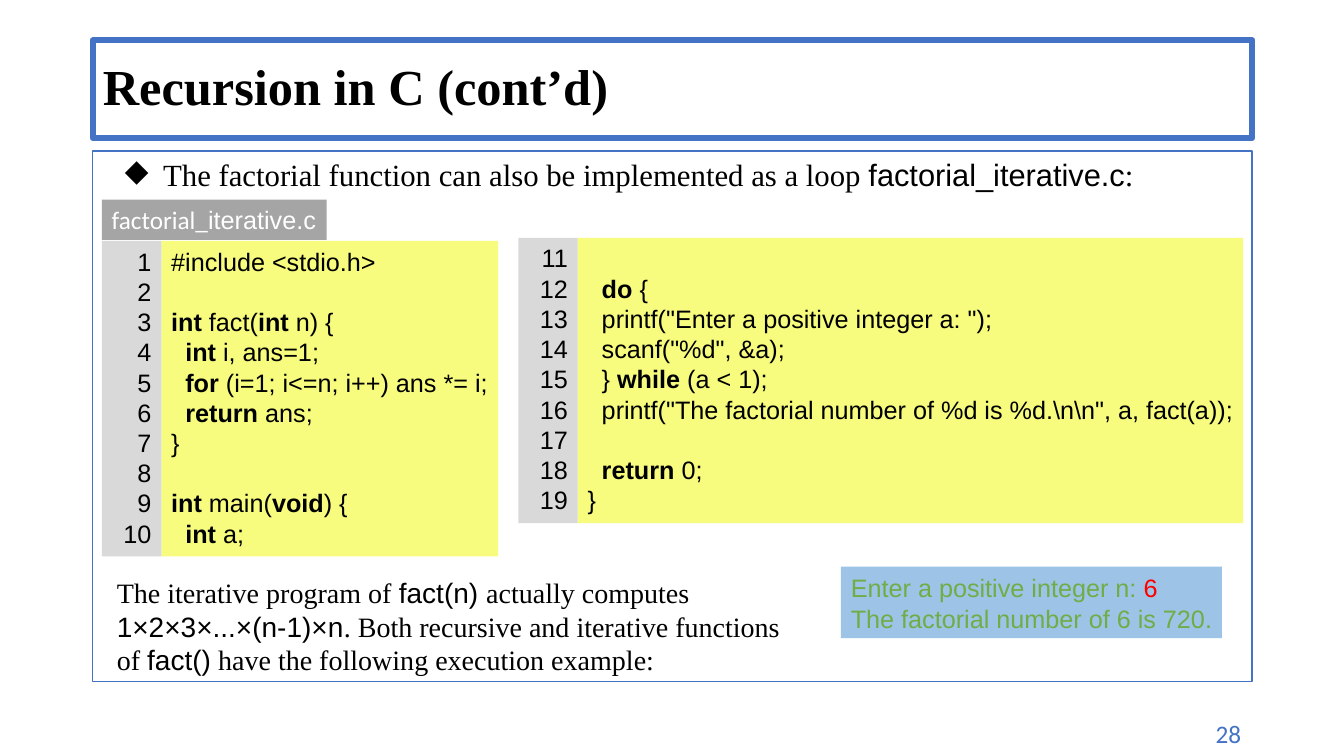
from dataclasses import dataclass

from lxml.etree import SubElement
from pptx import Presentation
from pptx.dml.color import RGBColor
from pptx.enum.shapes import MSO_SHAPE
from pptx.enum.text import MSO_ANCHOR, MSO_AUTO_SIZE, PP_ALIGN
from pptx.oxml.ns import qn
from pptx.util import Inches, Pt

COLORS = {
    "ink": "000000", "white": "FFFFFF", "blue": "4472C4", "label": "A5A5A5",
    "code": "F7FC7E", "gutter": "D9D9D9", "output": "9DC3E6",
    "green": "70AD47", "red": "FF0000",
}
SANS, SERIF, UI = "Arial", "Times New Roman", "Calibri"
CODE_PITCH = 21.6
CODE_INDENT = 0.14
GUTTER_WIDTH = 0.59


@dataclass(frozen=True)
class Span:
    text: str
    font: str = SANS
    size: float = 18
    color: str = "ink"
    bold: bool = False


@dataclass(frozen=True)
class Box:
    left: float
    top: float
    width: float
    height: float
    fill: str = ""
    line: str = ""


@dataclass(frozen=True)
class Listing:
    left: float
    top: float
    width: float
    height: float
    first: int
    source: tuple[str, ...]


# Keywords stand between double asterisks
LISTINGS = (
    Listing(1.01, 2.39, 3.93, 3.13, 1, (
        "#include <stdio.h>",
        "",
        "**int **fact(**int **n) {",
        "  **int **i, ans=1;",
        "  **for **(i=1; i<=n; i++) ans *= i;",
        "  **return **ans;",
        "}",
        "",
        "**int **main(**void**) {",
        "  **int **a;",
    )),
    Listing(5.14, 2.36, 7.19, 2.83, 11, (
        "",
        "  **do **{",
        '  printf("Enter a positive integer a: ");',
        '  scanf("%d", &a);',
        "  } **while **(a < 1);",
        r'  printf("The factorial number of %d is %d.\n\n", a, fact(a));',
        "",
        "  **return **0;",
        "}",
    )),
)


def rgb(name: str) -> RGBColor:
    return RGBColor.from_string(COLORS[name])


def write(paragraph, spans: list[Span], pitch: float = 0) -> None:
    """Fill a paragraph with formatted spans."""
    if pitch:
        paragraph.line_spacing = Pt(pitch)
    for span in spans:
        run = paragraph.add_run()
        run.text = span.text
        run.font.name = span.font
        run.font.size = Pt(span.size)
        run.font.bold = span.bold
        run.font.color.rgb = rgb(span.color)


def add_box(slide, box: Box, lines: list[list[Span]], wrap: bool = True,
            pitch: float = 0, align=PP_ALIGN.LEFT):
    """Draw a rectangle with text and return its paragraphs."""
    place = [Inches(v) for v in (box.left, box.top, box.width, box.height)]
    if box.fill or box.line:
        shape = slide.shapes.add_shape(MSO_SHAPE.RECTANGLE, *place)
        shape.shadow.inherit = False
        if box.fill:
            shape.fill.solid()
            shape.fill.fore_color.rgb = rgb(box.fill)
        else:
            shape.fill.background()
        if box.line:
            shape.line.color.rgb = rgb(box.line)
            shape.line.width = Pt(1)
        else:
            shape.line.fill.background()
    else:
        shape = slide.shapes.add_textbox(*place)
    frame = shape.text_frame
    frame.word_wrap = wrap
    frame.auto_size = MSO_AUTO_SIZE.NONE
    frame.vertical_anchor = MSO_ANCHOR.TOP
    for index, spans in enumerate(lines):
        paragraph = frame.add_paragraph() if index else frame.paragraphs[0]
        paragraph.alignment = align
        write(paragraph, spans, pitch)
    return frame.paragraphs


def add_listing(slide, listing: Listing) -> None:
    """Draw a code block with its line numbers."""
    code = Box(listing.left + GUTTER_WIDTH, listing.top,
               listing.width - GUTTER_WIDTH, listing.height, "code")
    lines = [[Span(part, bold=i % 2 == 1)
              for i, part in enumerate(row.strip().split("**")) if part]
             for row in listing.source]
    paragraphs = add_box(slide, code, lines, wrap=False, pitch=CODE_PITCH)
    for row, paragraph in zip(listing.source, paragraphs):
        if row.startswith("  "):
            properties = paragraph._p.get_or_add_pPr()
            properties.set("marL", str(Inches(CODE_INDENT)))
            properties.set("indent", "0")
    gutter = Box(listing.left, listing.top, GUTTER_WIDTH, listing.height, "gutter")
    numbers = [[Span(str(listing.first + i))] for i in range(len(listing.source))]
    add_box(slide, gutter, numbers, pitch=CODE_PITCH, align=PP_ALIGN.RIGHT)


def add_title(slide, text: str) -> None:
    title = slide.shapes.title
    title.left, title.top = Inches(0.92), Inches(0.4)
    title.width, title.height = Inches(11.5), Inches(0.97)
    title.line.color.rgb = rgb("blue")
    title.line.width = Pt(4.5)
    title.text_frame.vertical_anchor = MSO_ANCHOR.MIDDLE
    title.text_frame.auto_size = MSO_AUTO_SIZE.NONE
    heading = title.text_frame.paragraphs[0]
    heading.alignment = PP_ALIGN.LEFT
    heading.line_spacing = 0.9
    write(heading, [Span(text, SERIF, 36, bold=True)])


def main() -> None:
    deck = Presentation()
    deck.slide_width, deck.slide_height = Inches(13.33), Inches(7.5)
    slide = deck.slides.add_slide(deck.slide_layouts[5])

    # Slide number and title
    add_box(slide, Box(10.84, 7.08, 1.57, 0.4),
            [[Span("28", UI, color="blue")]], align=PP_ALIGN.RIGHT)
    add_title(slide, "Recursion in C (cont’d)")

    # Framed body with its bullet
    bullet = add_box(slide, Box(0.92, 1.5, 11.5, 5.26, line="blue"), [[
        Span("The factorial function can also be implemented as a loop ", SERIF, 22),
        Span("factorial_iterative.c", size=22),
        Span(":", SERIF, 22),
    ]])[0]
    bullet.space_before = Pt(6)
    properties = bullet._p.get_or_add_pPr()
    properties.set("marL", str(Inches(0.6)))
    properties.set("indent", str(Inches(-0.38)))
    SubElement(properties, qn("a:buChar")).set("char", "◆")

    # File name and code
    add_box(slide, Box(1.01, 1.98, 2.23, 0.4, "label"), [[
        Span("factorial_", UI, color="white"),
        Span("iterative.c", color="white"),
    ]], wrap=False)
    for listing in LISTINGS:
        add_listing(slide, listing)

    # Explanation and program output
    add_box(slide, Box(1.06, 5.66, 6.79, 1.11), [[
        Span("The iterative program of ", SERIF, 20),
        Span("fact(n) ", size=20),
        Span("actually computes ", SERIF, 20),
        Span("1×2×3×...×(n-1)×n", size=20),
        Span(". Both recursive and iterative functions of ", SERIF, 20),
        Span("fact()", size=20),
        Span(" have the following execution example:", SERIF, 20),
    ]], pitch=24)
    add_box(slide, Box(8.34, 5.62, 3.78, 0.71, "output"), [
        [Span("Enter a positive integer n: ", color="green"), Span("6", color="red")],
        [Span("The factorial number of 6 is 720.", color="green")],
    ], wrap=False, pitch=22)

    deck.save("out.pptx")


if __name__ == "__main__":
    main()
